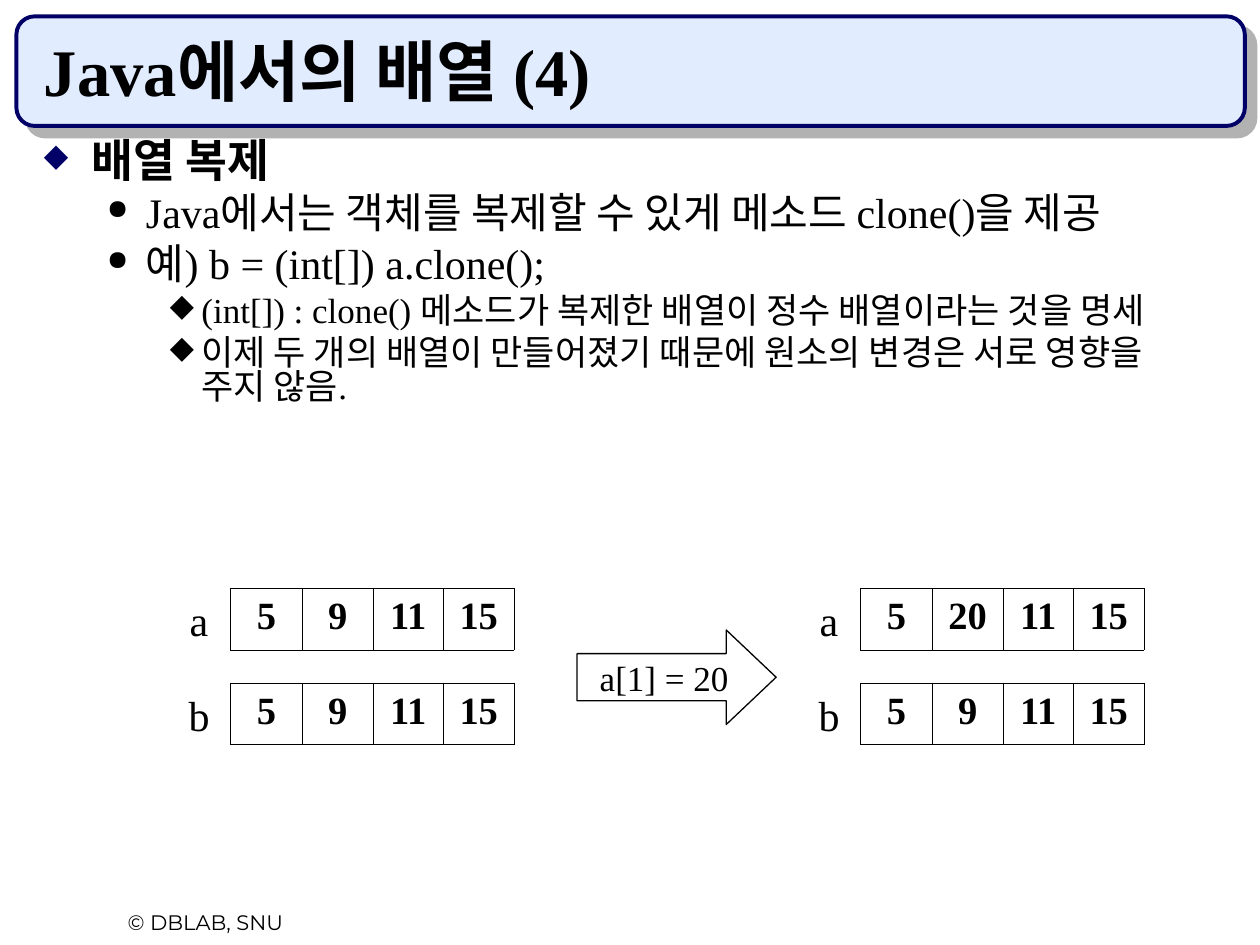
from lxml.etree import SubElement
from pptx import Presentation
from pptx.dml.color import RGBColor
from pptx.enum.shapes import MSO_SHAPE as Shape
from pptx.enum.text import MSO_ANCHOR as Anchor, MSO_AUTO_SIZE as AutoSize, PP_ALIGN as Align
from pptx.oxml.ns import qn
from pptx.util import Inches, Pt

BLACK, NAVY, PALE_BLUE, GREY = "000000", "000066", "E1ECFF", "B2B2B2"
SERIF, SANS = "Times New Roman", "Montserrat"


def colour(value):
    return RGBColor.from_string(value)


def add_xml_colour(parent, value):
    SubElement(parent, qn("a:srgbClr"), val=value)


class SlideBuilder:
    """Draws styled elements on the current slide."""

    def __init__(self, page, font=SERIF, ink=BLACK):
        self.page, self.font, self.ink = page, font, ink

    def format(self, para, size, bold=False, font=None):
        for span in para.runs:
            span.font.size = Pt(size)
            span.font.bold = bold
            span.font.name = font or self.font
            span.font.color.rgb = colour(self.ink)

    def text(self, words, place, size, align=Align.LEFT, anchor=Anchor.TOP,
             bold=False, font=None, grow=False):
        box = self.page.shapes.add_textbox(*map(Inches, place))
        frame = box.text_frame
        frame.word_wrap = True
        frame.auto_size = AutoSize.SHAPE_TO_FIT_TEXT if grow else AutoSize.NONE
        frame.vertical_anchor = anchor
        frame.text = words
        para = frame.paragraphs[0]
        para.alignment = align
        self.format(para, size, bold, font)

    def shape(self, kind, place, adjustments, line, width, fill=None):
        shape = self.page.shapes.add_shape(kind, *map(Inches, place))
        shape.shadow.inherit = False
        for index, value in enumerate(adjustments):
            shape.adjustments[index] = value
        shape.line.color.rgb = colour(line)
        shape.line.width = Pt(width)
        if fill:
            shape.fill.solid()
            shape.fill.fore_color.rgb = colour(fill)
        else:
            shape.fill.background()
        return shape

    def banner(self, place):
        shape = self.shape(Shape.ROUNDED_RECTANGLE, place, [0.167], NAVY, 2.25, PALE_BLUE)
        effects = shape._element.spPr.find(qn("a:effectLst"))
        shadow = SubElement(effects, qn("a:outerShdw"), dist=str(Pt(8.5)),
                            dir="2700000", algn="ctr", rotWithShape="0")
        add_xml_colour(shadow, GREY)

    def arrow(self, words, place, size):
        shape = self.shape(Shape.RIGHT_ARROW, place, [0.5, 0.528], BLACK, 0.75)
        frame = shape.text_frame
        frame.word_wrap = False
        frame.vertical_anchor = Anchor.MIDDLE
        frame.text = words
        frame.paragraphs[0].alignment = Align.CENTER
        self.format(frame.paragraphs[0], size)

    def outline(self, items, levels, place):
        box = self.page.shapes.add_textbox(*map(Inches, place))
        frame = box.text_frame
        frame.word_wrap = True
        for index, (level, words) in enumerate(items):
            style = levels[level]
            para = frame.add_paragraph() if index else frame.paragraphs[0]
            para.text = words
            para.level = level
            self.bullet(para, style)
            para.line_spacing = 0.8
            if index:
                para.space_before = Pt(style["before"])
            self.format(para, style["size"], style.get("bold", False))

    def bullet(self, para, style):
        props = para._p.get_or_add_pPr()
        props.set("marL", str(Inches(style["left"])))
        props.set("indent", str(-Inches(style["hang"])))
        add_xml_colour(SubElement(props, qn("a:buClr")), style.get("tint", self.ink))
        SubElement(props, qn("a:buSzPct"), val=str(style["scale"] * 1000))
        SubElement(props, qn("a:buChar"), char=style["mark"])

    def array(self, values, left, top, widths, height, size):
        frame = self.page.shapes.add_table(1, len(values), Inches(left), Inches(top),
                                           Inches(sum(widths)), Inches(height))
        table = frame.table
        table.first_row = table.horz_banding = False
        table.rows[0].height = Inches(height)
        for index, (value, width) in enumerate(zip(values, widths)):
            table.columns[index].width = Inches(width)
            cell = table.cell(0, index)
            self.borders(cell)
            cell.fill.background()
            cell.vertical_anchor = Anchor.MIDDLE
            cell.text = str(value)
            para = cell.text_frame.paragraphs[0]
            para.alignment = Align.CENTER
            para.line_spacing = 0.8
            self.format(para, size, bold=True)

    def borders(self, cell):
        props = cell._tc.get_or_add_tcPr()
        for side in ("lnL", "lnR", "lnT", "lnB"):
            line = SubElement(props, qn(f"a:{side}"), w=str(Pt(0.45)))
            add_xml_colour(SubElement(line, qn("a:solidFill")), self.ink)


def main():
    deck = Presentation()
    deck.slide_width, deck.slide_height = Inches(10), Inches(7.5)
    builder = SlideBuilder(deck.slides.add_slide(deck.slide_layouts[6]))

    # Banner, footer and title
    builder.banner((0.13, 0.13, 9.75, 0.87))
    builder.text("© DBLAB, SNU", (0.42, 7.17, 2.42, 0.3), 12, Align.CENTER,
                 font=SANS, grow=True)
    builder.text("Java에서의 배열 (4)", (0.25, 0.25, 9.42, 0.67), 38,
                 anchor=Anchor.BOTTOM, bold=True)

    # Outline
    levels = [
        dict(left=0.38, hang=0.38, mark="◆", tint=NAVY, scale=70, size=26, before=6.5, bold=True),
        dict(left=0.81, hang=0.31, mark="●", scale=65, size=24, before=6),
        dict(left=1.25, hang=0.25, mark="◆", scale=90, size=20, before=5),
    ]
    items = [
        (0, "배열 복제"),
        (1, "Java에서는 객체를 복제할 수 있게 메소드 clone()을 제공"),
        (1, "예) b = (int[]) a.clone();"),
        (2, "(int[]) : clone() 메소드가 복제한 배열이 정수 배열이라는 것을 명세"),
        (2, "이제 두 개의 배열이 만들어졌기 때문에 원소의 변경은 서로 영향을 주지 않음."),
    ]
    builder.outline(items, levels, (0.25, 1.08, 9.42, 5.83))

    # Arrays before and after the assignment
    before = [5, 9, 11, 15]
    after = [5, 20, 11, 15]
    states = [(1.08, {"a": before, "b": before}), (6.08, {"a": after, "b": before})]
    for left, arrays in states:
        for row, (name, values) in enumerate(arrays.items()):
            top = 4.67 + 0.75 * row
            builder.array(values, left + 0.75, top, [0.57, 0.56, 0.56, 0.56], 0.49, 22)
            builder.text(name, (left, top, 1, 0.5), 24, Align.CENTER, grow=True)

    # Assignment arrow
    builder.arrow("a[1] = 20", (4.58, 5, 1.58, 0.75), 20)

    deck.save("out.pptx")


if __name__ == "__main__":
    main()
